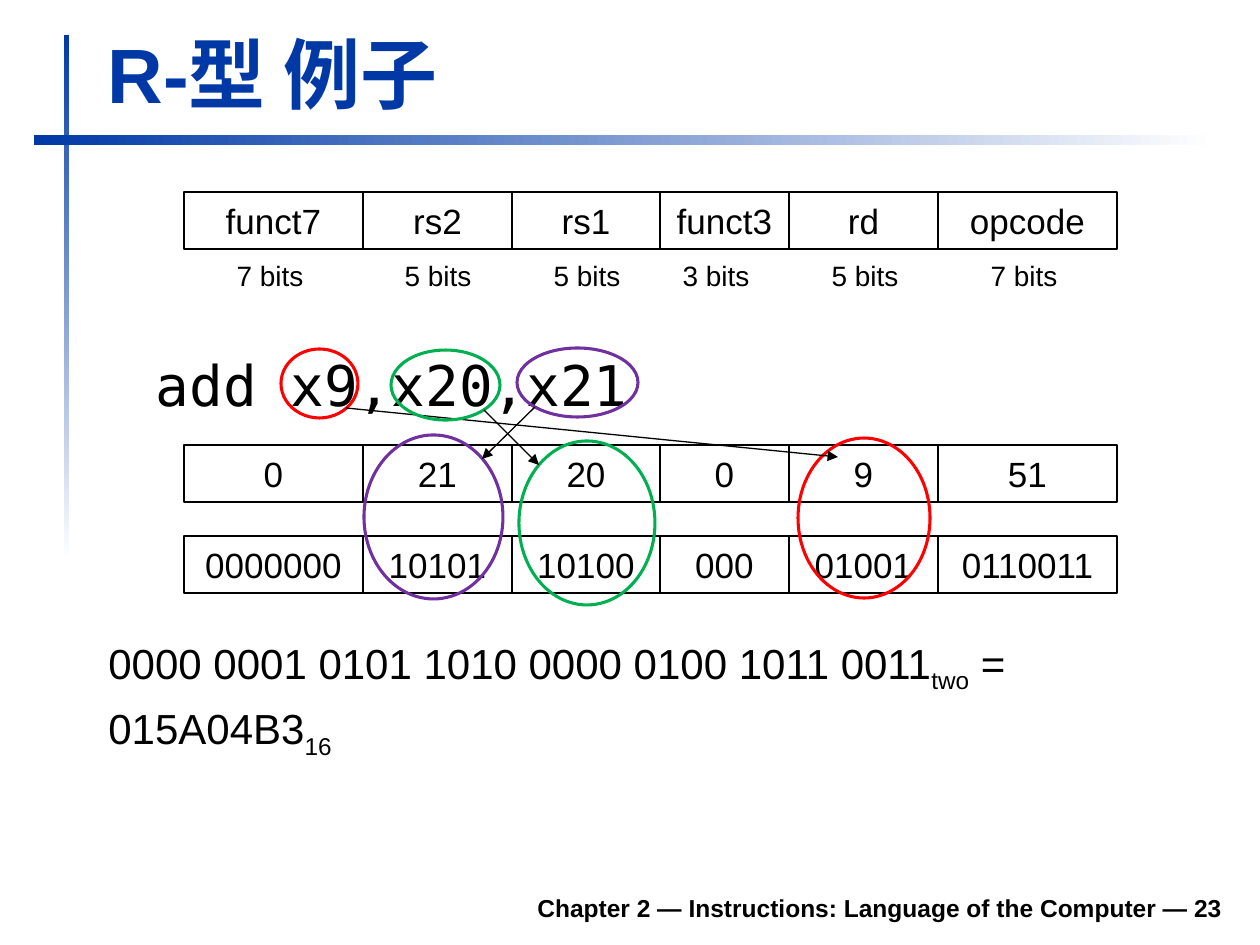
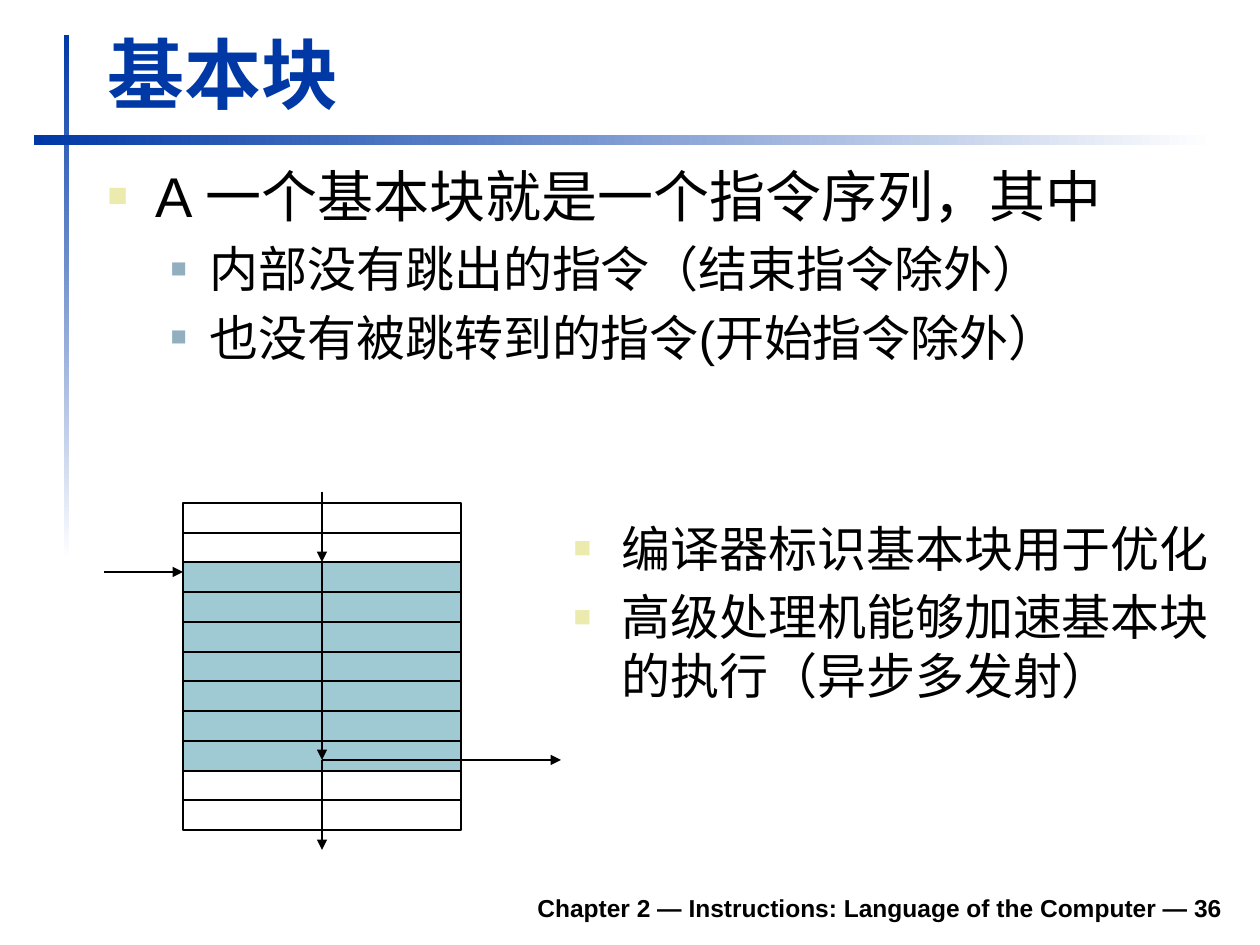
from itertools import accumulate

from lxml.etree import SubElement
from pptx import Presentation
from pptx.dml.color import RGBColor
from pptx.enum.shapes import MSO_CONNECTOR, MSO_SHAPE
from pptx.enum.text import MSO_ANCHOR, MSO_AUTO_SIZE, PP_ALIGN
from pptx.oxml.ns import qn
from pptx.util import Emu, Pt

EMU_PER_PX = 914400 / 126
COLORS = {
    "title": "0039A6", "text": "000000", "fade": "FFFFFF",
    "bullet": "ECEAAC", "sub_bullet": "91AFBF", "block": "9FCAD3",
    "red": "FF0000", "green": "00B050", "purple": "7030A0",
}
SANS, MONO = "Arial", "DejaVu Sans Mono"
# level: (left margin, hanging indent, bullet colour, bullet size)
BULLETS = {0: (48, 48, "bullet", "60%"), 1: (102, 39, "sub_bullet", "55%")}


def px(length):
    return Emu(round(length * EMU_PER_PX))


def color(name):
    return RGBColor.from_string(COLORS[name])


class Deck:
    """Holds the shared style and the slide being filled."""

    def __init__(self):
        self.presentation = Presentation()
        self.presentation.slide_width = px(1260)
        self.presentation.slide_height = px(945)
        self.slide = None

    def new_slide(self, title, number, layout):
        layouts = self.presentation.slide_layouts
        self.slide = self.presentation.slides.add_slide(layouts.get_by_name(layout))
        self.band(64, 35, 5, 525, 270)
        self.band(34, 135, 1181, 10, 0)
        self.text(f"Chapter 2 — Instructions: Language of the Computer — {number}",
                  (233, 880, 1002, 49), 14, PP_ALIGN.RIGHT, MSO_ANCHOR.BOTTOM, bold=True)
        shape = self.place(self.slide.shapes.title, (95, 20, 1138, 105))
        frame = shape.text_frame
        frame.vertical_anchor = MSO_ANCHOR.BOTTOM
        frame.auto_size = MSO_AUTO_SIZE.SHAPE_TO_FIT_TEXT
        frame.text = title
        self.format(frame.paragraphs[0], 44, PP_ALIGN.LEFT, bold=True, ink="title")

    def place(self, shape, box):
        shape.left, shape.top, shape.width, shape.height = map(px, box)
        return shape

    def format(self, paragraph, size, align=PP_ALIGN.LEFT, font=SANS, bold=False, ink="text"):
        paragraph.alignment = align
        paragraph.font.name = font
        paragraph.font.size = Pt(size)
        paragraph.font.bold = bold
        paragraph.font.color.rgb = color(ink)

    def band(self, left, top, width, height, angle):
        """Bar that fades from the title colour to the background."""
        shape = self.shape(MSO_SHAPE.RECTANGLE, (left, top, width, height))
        shape.fill.gradient()
        shape.fill.gradient_angle = angle
        for stop, name in zip(shape.fill.gradient_stops, ("title", "fade")):
            stop.color.rgb = color(name)

    def shape(self, kind, box, fill=None, line=None, weight=1.5):
        shape = self.slide.shapes.add_shape(kind, *map(px, box))
        shape.shadow.inherit = False
        if fill:
            shape.fill.solid()
            shape.fill.fore_color.rgb = color(fill)
        else:
            shape.fill.background()
        if line:
            shape.line.color.rgb = color(line)
            shape.line.width = Pt(weight)
        else:
            shape.line.fill.background()
        return shape

    def cell(self, text, box):
        frame = self.shape(MSO_SHAPE.RECTANGLE, box, line="text").text_frame
        frame.vertical_anchor = MSO_ANCHOR.MIDDLE
        frame.text = text
        self.format(frame.paragraphs[0], 20, PP_ALIGN.CENTER)

    def ring(self, box, line):
        self.shape(MSO_SHAPE.OVAL, box, line=line, weight=1.75)

    def text(self, text, box, size, align=PP_ALIGN.LEFT, anchor=MSO_ANCHOR.TOP, bold=False):
        frame = self.slide.shapes.add_textbox(*map(px, box)).text_frame
        frame.word_wrap = True
        frame.vertical_anchor = anchor
        frame.text = text
        self.format(frame.paragraphs[0], size, align, bold=bold)

    def subscripts(self, lines, box, size):
        """Each line is a list of runs in which every second one is lowered."""
        frame = self.slide.shapes.add_textbox(*map(px, box)).text_frame
        frame.word_wrap = True
        for index, runs in enumerate(lines):
            paragraph = frame.paragraphs[0] if index == 0 else frame.add_paragraph()
            paragraph.space_before = Pt(size * 0.2 if index else 0)
            self.format(paragraph, size)
            for position, text in enumerate(runs):
                run = paragraph.add_run()
                run.text = text
                if position % 2:
                    run.font._element.set("baseline", "-25000")

    def body(self, index, box, items, font=SANS, bulleted=True):
        """Fill a body placeholder with (level, size, text) items."""
        shape = self.place(self.slide.placeholders[index], box)
        frame = shape.text_frame
        frame.auto_size = MSO_AUTO_SIZE.NONE
        for position, (level, size, text) in enumerate(items):
            paragraph = frame.paragraphs[0] if position == 0 else frame.add_paragraph()
            paragraph.text = text
            paragraph.level = level
            paragraph.space_before = Pt(size * 0.2 if position else 0)
            self.bullet(paragraph, level, bulleted)
            self.format(paragraph, size, font=font)

    def bullet(self, paragraph, level, bulleted):
        margin, hanging, name, size = BULLETS[level]
        properties = paragraph._p.get_or_add_pPr()
        properties.set("marL", str(px(margin)))
        properties.set("indent", str(px(-hanging if bulleted else 0)))
        if not bulleted:
            SubElement(properties, qn("a:buNone"))
            return
        ink = SubElement(properties, qn("a:buClr"))
        SubElement(ink, qn("a:srgbClr"), val=COLORS[name])
        SubElement(properties, qn("a:buSzPct"), val=size.replace("%", "000"))
        SubElement(properties, qn("a:buFont"), typeface=SANS)
        SubElement(properties, qn("a:buChar"), char="■")

    def arrow(self, start, end, weight):
        connector = self.slide.shapes.add_connector(
            MSO_CONNECTOR.STRAIGHT, *map(px, start + end))
        connector.line.color.rgb = color("text")
        connector.line.width = Pt(weight)
        SubElement(connector.line._get_or_add_ln(), qn("a:tailEnd"), type="triangle")
        SubElement(connector._element.spPr, qn("a:effectLst"))
        return connector


def r_type_slide(deck):
    deck.new_slide("R-型 例子", 23, "Title and Content")
    deck.body(1, (95, 344, 1140, 89), [(0, 32, "add x9,x20,x21")], MONO, bulleted=False)
    deck.subscripts(
        [["0000 0001 0101 1010 0000 0100 1011 0011", "two", " ="], ["015A04B3", "16"]],
        (96, 631, 1000, 195), 24)

    widths = [179, 149, 148, 129, 149, 179]
    lefts = list(accumulate(widths[:-1], initial=184))
    rows = {
        192: ["funct7", "rs2", "rs1", "funct3", "rd", "opcode"],
        445: ["0", "21", "20", "0", "9", "51"],
        536: ["0000000", "10101", "10100", "000", "01001", "0110011"],
    }
    for top, values in rows.items():
        for left, width, value in zip(lefts, widths, values):
            deck.cell(value, (left, top, width, 57))
    for center, bits in zip((270, 438, 587, 716, 865, 1024), (7, 5, 5, 3, 5, 7)):
        deck.text(f"{bits} bits", (center - 50, 252, 100, 47), 16, PP_ALIGN.CENTER)

    # colour: operand ring, field ring, arrow start, arrow end
    operands = {
        "red": ((281, 349, 77, 69), (798, 438, 132, 160), (346, 408), (838, 457)),
        "green": ((391, 350, 109, 70), (519, 441, 136, 164), (484, 410), (539, 465)),
        "purple": ((517, 348, 121, 69), (364, 435, 139, 164), (535, 407), (482, 459)),
    }
    for name, (operand, field, start, end) in operands.items():
        deck.ring(operand, name)
        deck.ring(field, name)
        deck.arrow(start, end, 0.75)


def basic_block_slide(deck):
    deck.new_slide("基本块", 36, "Two Content")
    deck.body(1, (95, 155, 1140, 318), [
        (0, 32, "A 一个基本块就是一个指令序列，其中"),
        (1, 28, "内部没有跳出的指令（结束指令除外）"),
        (1, 28, "也没有被跳转到的指令(开始指令除外）"),
    ])
    deck.body(2, (561, 512, 664, 328), [
        (0, 28, "编译器标识基本块用于优化"),
        (0, 28, "高级处理机能够加速基本块的执行（异步多发射）"),
    ])

    count, first, last = 11, 2, 8
    edges = [503 + round(327 * index / count) for index in range(count + 1)]
    instructions = [
        deck.shape(MSO_SHAPE.RECTANGLE, (183, top, 278, bottom - top),
                   "block" if first <= index <= last else None, "text", 0.75)
        for index, (top, bottom) in enumerate(zip(edges, edges[1:]))
    ]
    middle, entry, leave = 322, edges[first], 760
    before = deck.arrow((middle, 492), (middle, entry), 1.5)
    before.end_connect(instructions[first], 0)
    through = deck.arrow((middle, entry), (middle, leave), 1.5)
    through.begin_connect(instructions[first], 0)
    deck.arrow((middle, leave), (middle, 850), 1.5)
    deck.arrow((middle, leave), (561, leave), 1.5)
    deck.arrow((104, 572), (183, 572), 1.5)


def main():
    deck = Deck()
    r_type_slide(deck)
    basic_block_slide(deck)
    deck.presentation.save("out.pptx")


if __name__ == "__main__":
    main()
